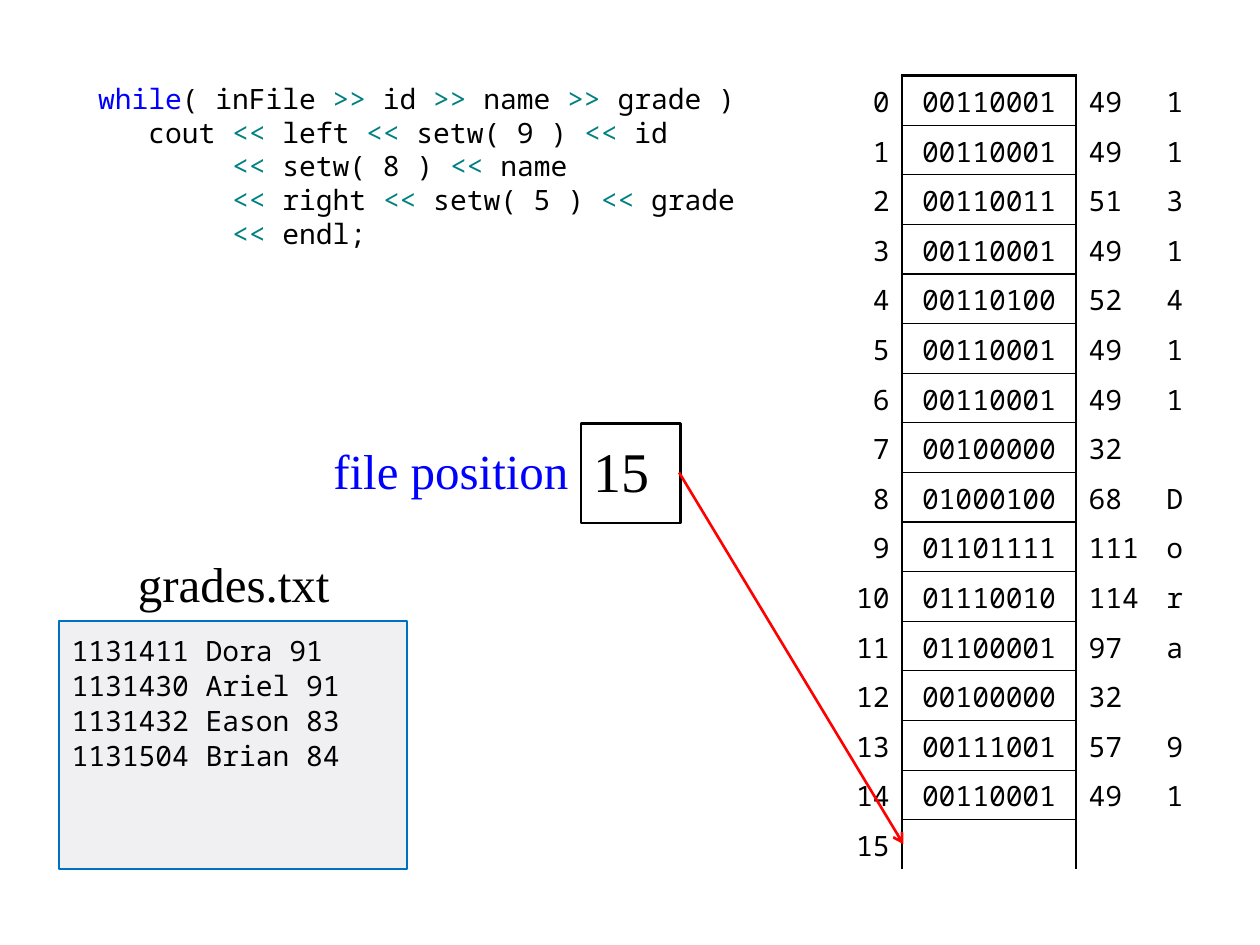
from dataclasses import dataclass

from lxml import etree
from pptx import Presentation
from pptx import util as u
from pptx.dml.color import RGBColor
from pptx.enum import shapes, text
from pptx.oxml import ns


@dataclass(frozen=True)
class Theme:
    ink: str = "000000"
    keyword: str = "0000FF"
    operator: str = "008080"
    file_fill: str = "F0F0F2"
    file_line: str = "0070C0"
    arrow: str = "FF0000"
    mono: str = "Noto Sans Mono"
    serif: str = "Times New Roman"
    code_size: float = 16
    code_leading: float = 19.2
    label_size: float = 28
    position_size: float = 32
    thick: float = 1.5
    thin: float = 0.75


THEME = Theme()
LEFT, CENTER, RIGHT = text.PP_ALIGN.LEFT, text.PP_ALIGN.CENTER, text.PP_ALIGN.RIGHT

CODE = [
    ("while( inFile >> id >> name >> grade )", ">>"),
    ("   cout << left << setw( 9 ) << id", "<<"),
    ("        << setw( 8 ) << name", "<<"),
    ("        << right << setw( 5 ) << grade", "<<"),
    ("        << endl;", "<<"),
]
GRADES = ["1131411 Dora 91", "1131430 Ariel 91", "1131432 Eason 83", "1131504 Brian 84"]
POSITION = len(GRADES[0])


def rgb(value):
    return RGBColor.from_string(value)


def style(paragraph, name, size, color=None, align=LEFT):
    paragraph.alignment = align
    paragraph.font.name = name
    paragraph.font.size = u.Pt(size)
    if color:
        paragraph.font.color.rgb = rgb(color)


def set_insets(frame, left, top, right, bottom):
    frame.margin_left, frame.margin_top = u.Inches(left), u.Inches(top)
    frame.margin_right, frame.margin_bottom = u.Inches(right), u.Inches(bottom)


def add_lines(frame, lines, name, size, color, align=LEFT, gap=0):
    for index, line in enumerate(lines):
        paragraph = frame.paragraphs[0] if index == 0 else frame.add_paragraph()
        paragraph.text = line
        style(paragraph, name, size, color, align)
        if index:
            paragraph.space_before = u.Pt(gap)


def add_label(slide, box, label, color, align, wrap=True, anchor=text.MSO_ANCHOR.TOP):
    frame = slide.shapes.add_textbox(*map(u.Inches, box)).text_frame
    frame.word_wrap = wrap
    frame.vertical_anchor = anchor
    add_lines(frame, [label], THEME.serif, THEME.label_size, color, align)
    return frame


def add_box(slide, box, line, width, fill=None):
    rect = slide.shapes.add_shape(shapes.MSO_SHAPE.RECTANGLE, *map(u.Inches, box))
    rect.shadow.inherit = False
    if fill:
        rect.fill.solid()
        rect.fill.fore_color.rgb = rgb(fill)
    else:
        rect.fill.background()
    rect.line.color.rgb = rgb(line)
    rect.line.width = u.Pt(width)
    rect.text_frame.word_wrap = True
    return rect.text_frame


def add_run(paragraph, content, color):
    if content:
        run = paragraph.add_run()
        run.text = content
        run.font.color.rgb = rgb(color)


def add_code(slide, box):
    frame = slide.shapes.add_textbox(*map(u.Inches, box)).text_frame
    frame.word_wrap = True
    for index, (line, operator) in enumerate(CODE):
        paragraph = frame.paragraphs[0] if index == 0 else frame.add_paragraph()
        paragraph.line_spacing = u.Pt(THEME.code_leading)
        style(paragraph, THEME.mono, THEME.code_size)
        if line.startswith("while"):
            add_run(paragraph, "while", THEME.keyword)
            line = line.removeprefix("while")
        for number, part in enumerate(line.split(operator)):
            if number:
                add_run(paragraph, operator, THEME.operator)
            add_run(paragraph, part, THEME.ink)


def set_borders(cell, widths):
    properties = cell._tc.get_or_add_tcPr()
    for side in "LRTB":
        width = widths.get(side, 0)
        line = etree.SubElement(properties, ns.qn(f"a:ln{side}"), w=str(u.Pt(width)))
        if width:
            fill = etree.SubElement(line, ns.qn("a:solidFill"))
            etree.SubElement(fill, ns.qn("a:srgbClr"), val=THEME.ink)
        else:
            etree.SubElement(line, ns.qn("a:noFill"))


def fill_cell(cell, content, align, borders):
    set_borders(cell, borders)
    cell.fill.background()
    cell.vertical_anchor = text.MSO_ANCHOR.MIDDLE
    set_insets(cell, 0.1, 0.02, 0.08, 0)
    if align != LEFT:
        cell.margin_right = u.Inches(0.1)
    add_lines(cell.text_frame, [content], THEME.mono, THEME.code_size, THEME.ink, align)


def add_memory(slide, box):
    rows = [(str(address), f"{ord(char):08b}", str(ord(char)), char.strip())
            for address, char in enumerate(GRADES[0])]
    rows.append((str(POSITION), "", "", ""))
    memory = slide.shapes.add_table(len(rows), 4, *map(u.Inches, box)).table
    memory.first_row = memory.horz_banding = False
    for column, width in zip(memory.columns, (0.59, 1.38, 0.59, 0.39)):
        column.width = u.Inches(width)
    for index, values in enumerate(rows):
        memory.rows[index].height = u.Inches(box[3] / len(rows))
        byte_borders = {
            "L": THEME.thick,
            "R": THEME.thick,
            "T": THEME.thin if index else THEME.thick,
            "B": THEME.thin if index < POSITION else 0,
        }
        borders = ({"R": THEME.thick}, byte_borders, {"L": THEME.thick}, {})
        aligns = (RIGHT, CENTER, LEFT, CENTER)
        for column, value in enumerate(values):
            fill_cell(memory.cell(index, column), value, aligns[column], borders[column])


def add_arrow(slide, start, end):
    arrow = slide.shapes.add_connector(
        shapes.MSO_CONNECTOR.STRAIGHT, *map(u.Inches, start + end))
    arrow.line.color.rgb = rgb(THEME.arrow)
    arrow.line.width = u.Pt(THEME.thick)
    etree.SubElement(arrow.line._get_or_add_ln(), ns.qn("a:tailEnd"), type="arrow")
    etree.SubElement(arrow._element.spPr, ns.qn("a:effectLst"))


def main():
    deck = Presentation()
    deck.slide_width, deck.slide_height = u.Inches(10), u.Inches(7.5)
    slide = deck.slides.add_slide(deck.slide_layouts[6])

    add_code(slide, (0.68, 0.6, 5.31, 1.57))

    grades = add_box(slide, (0.47, 4.93, 2.76, 1.97),
                     THEME.file_line, 1, THEME.file_fill)
    grades.vertical_anchor = text.MSO_ANCHOR.TOP
    set_insets(grades, 0.1, 0.1, 0.1, 0.1)
    add_lines(grades, GRADES, THEME.mono, THEME.code_size, THEME.ink, gap=0.75)
    add_label(slide, (0.87, 4.34, 1.97, 0.59), "grades.txt", THEME.ink, CENTER, wrap=False)

    add_memory(slide, (6.57, 0.6, 2.95, 6.3))

    position = add_box(slide, (4.61, 3.36, 0.79, 0.79), THEME.ink, THEME.thick)
    position.vertical_anchor = text.MSO_ANCHOR.MIDDLE
    set_insets(position, 0.1, 0, 0.1, 0.04)
    add_lines(position, [str(POSITION)], THEME.serif, THEME.position_size, THEME.ink)
    add_arrow(slide, (5.39, 3.75), (7.17, 6.7))
    caption = add_label(slide, (2.44, 3.36, 2.17, 0.79), "file position",
                        THEME.keyword, RIGHT, anchor=text.MSO_ANCHOR.MIDDLE)
    set_insets(caption, 0.1, 0, 0.1, 0.05)

    deck.save("out.pptx")


if __name__ == "__main__":
    main()
